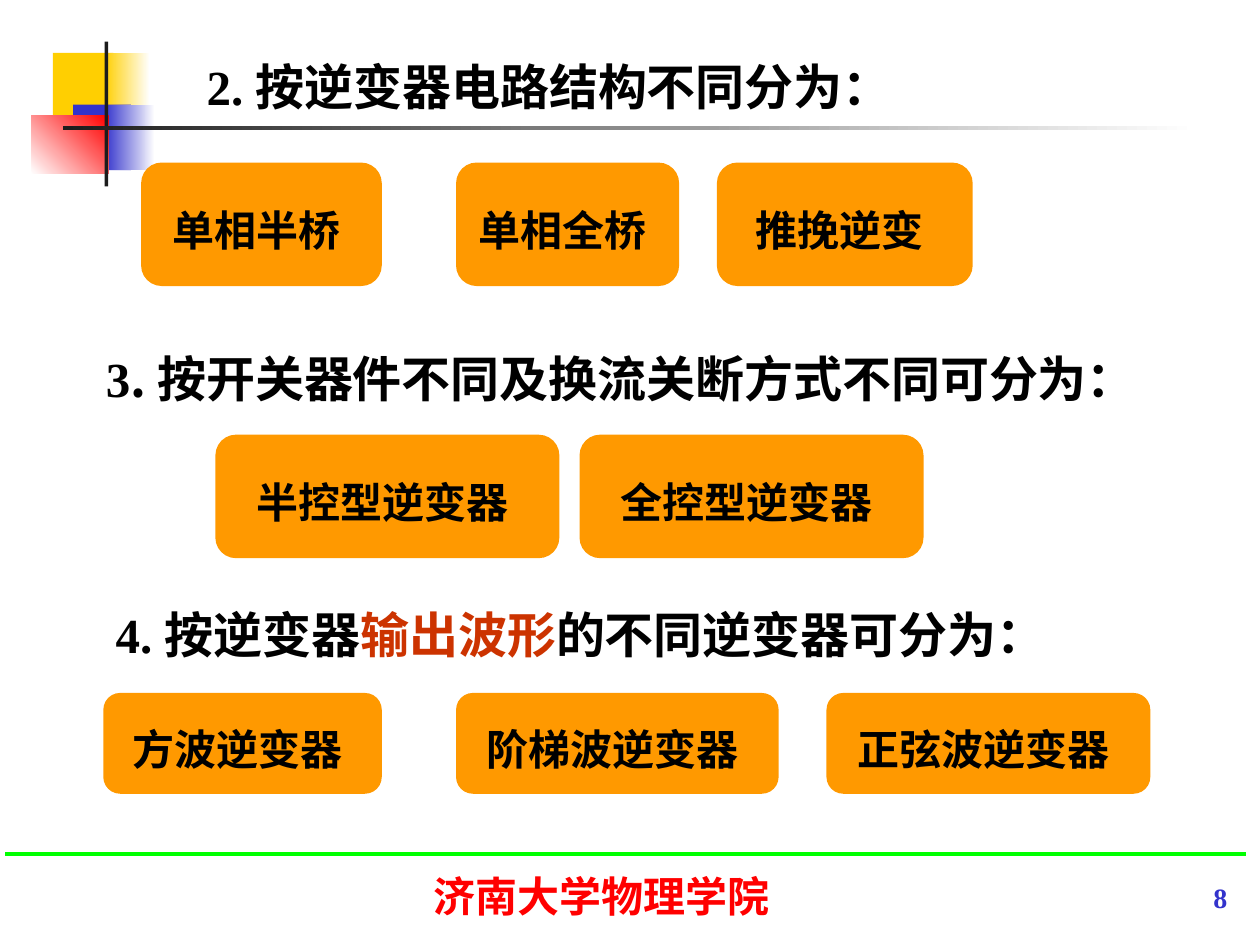
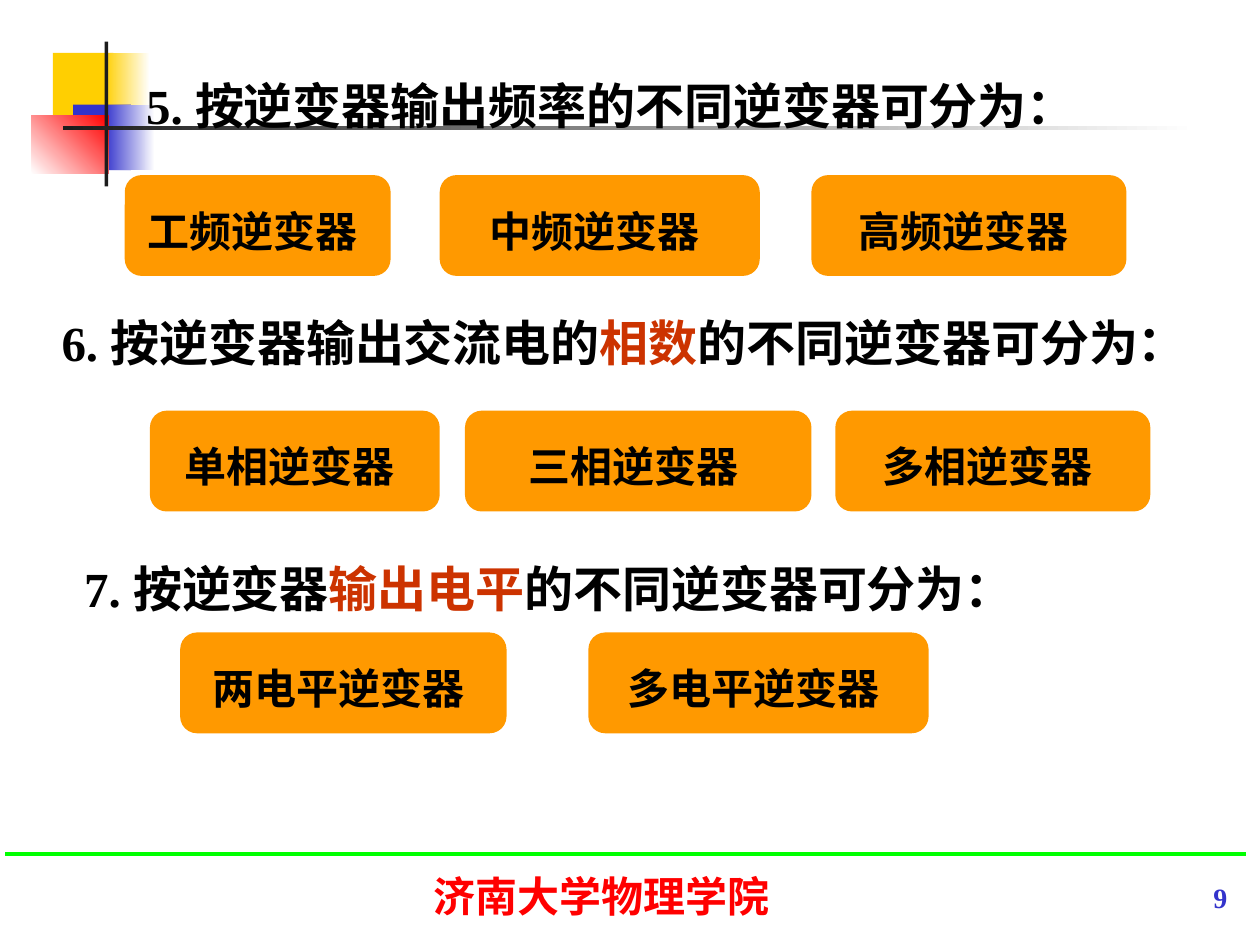
import pptx
import pptx.util
import pptx.dml.color
import pptx.enum.shapes
import pptx.enum.text
import pptx.oxml.ns
import lxml.etree

Inches, Pt = pptx.util.Inches, pptx.util.Pt
SHAPE = pptx.enum.shapes.MSO_SHAPE
ALIGN = pptx.enum.text.PP_ALIGN
ANCHOR = pptx.enum.text.MSO_ANCHOR
qn = pptx.oxml.ns.qn

# Content: each section has heading runs (text, colour, font), its place,
# its spacing style, and a row of classes (label, left, width)
SECTIONS_BY_PAGE = {
    8: [
        {"heading": [("2. 按逆变器电路结构不同分为：", "ink", "serif")],
         "at": (1.12, 0.4, 6.6, 0.57), "style": "indented",
         "row": (1.29, 0.98), "font": "cjk",
         "classes": [("单相半桥", 1.12, 1.91), ("单相全桥", 3.62, 1.77),
                     ("推挽逆变", 5.69, 2.03)]},
        {"heading": [("3", "ink", "serif"),
                     (". 按开关器件不同及换流关断方式不同可分为：", "ink", "cjk")],
         "at": (0.32, 2.62, 9.07, 0.66), "style": "indented_open",
         "row": (3.45, 0.98), "font": "sans",
         "classes": [("半控型逆变器", 1.71, 2.73), ("全控型逆变器", 4.6, 2.73)]},
        {"heading": [("4. 按逆变器", "ink", "serif"), ("输出波形", "accent", "serif"),
                     ("的不同逆变器可分为：", "ink", "serif")],
         "at": (0.82, 4.54, 8.05, 0.78), "style": "hanging",
         "row": (5.5, 0.8), "font": "sans",
         "classes": [("方波逆变器", 0.82, 2.21), ("阶梯波逆变器", 3.62, 2.56),
                     ("正弦波逆变器", 6.56, 2.57)]},
    ],
    9: [
        {"heading": [("5. 按逆变器输出频率的不同逆变器可分为：", "ink", "serif")],
         "at": (1.06, 0.34, 7.68, 0.78), "style": "hanging",
         "row": (1.39, 0.8), "font": "sans",
         "classes": [("工频逆变器", 0.99, 2.11), ("中频逆变器", 3.49, 2.54),
                     ("高频逆变器", 6.44, 2.5)]},
        {"heading": [("6. 按逆变器输出交流电的", "ink", "serif"), ("相数", "accent", "serif"),
                     ("的不同逆变器可分为：", "ink", "serif")],
         "at": (0.39, 2.22, 9.33, 0.78), "style": "hanging",
         "row": (3.26, 0.8), "font": "sans",
         "classes": [("单相逆变器", 1.19, 2.3), ("三相逆变器", 3.69, 2.75),
                     ("多相逆变器", 6.63, 2.5)]},
        {"heading": [("7. 按逆变器", "ink", "serif"), ("输出电平", "accent", "serif"),
                     ("的不同逆变器可分为：", "ink", "serif")],
         "at": (0.57, 4.17, 8.17, 0.78), "style": "hanging",
         "row": (5.02, 0.8), "font": "sans",
         "classes": [("两电平逆变器", 1.43, 2.59), ("多电平逆变器", 4.67, 2.7)]},
    ],
}
SCHOOL = "济南大学物理学院"

# Corner ornament: place, colours (two make a gradient), gradient angle
ORNAMENT = [
    ((0.42, 0.42, 0.48, 0.52), ["yellow"], 0),
    ((0.83, 0.42, 0.36, 0.52), ["yellow", "white"], 0),
    ((0.58, 0.83, 0.46, 0.52), ["blue"], 0),
    ((0.83, 0.83, 0.4, 0.52), ["blue", "white"], 0),
    ((0.25, 0.92, 0.61, 0.46), ["white", "red"], 45),
    ((0.83, 0.33, 0.03, 1.15), ["charcoal"], 0),
    ((0.5, 1, 9, 0.03), ["charcoal", "white"], 0),
]

THEME = {
    "colors": {"ink": "000000", "accent": "CC3300", "box": "FF9900", "yellow": "FFCF01",
               "blue": "3333CC", "red": "FF0000", "white": "FFFFFF",
               "charcoal": "1C1C1C", "green": "00FF00"},
    "fonts": {"serif": "Times New Roman", "sans": "Lato", "cjk": "Noto Sans CJK SC"},
    "sizes": {"heading": 28, "class": 24, "school": 24, "page": 16},
}

# Heading styles: left inset, line spacing, left margin, first-line indent
HEADING_STYLES = {
    "indented": (0.02, 1.0, 0.5, 0),
    "indented_open": (0.02, 1.2, 0.5, 0),
    "hanging": (0.1, 1.45, 0.38, -0.38),
}


def color(name):
    return pptx.dml.color.RGBColor.from_string(THEME["colors"][name])


def inches(place):
    return [Inches(length) for length in place]


def write(shape, runs, size, align=ALIGN.LEFT, spacing=1.0, left=0.1, bottom=0.05,
          wrap=True, anchor=ANCHOR.TOP):
    """Fill a shape with one bold paragraph and return that paragraph."""
    frame = shape.text_frame
    frame_format = {"margin_left": Inches(left), "margin_right": Inches(0.1),
                    "margin_top": Inches(0.05), "margin_bottom": Inches(bottom),
                    "word_wrap": wrap, "vertical_anchor": anchor,
                    "auto_size": pptx.enum.text.MSO_AUTO_SIZE.NONE}
    for name, value in frame_format.items():
        setattr(frame, name, value)
    line = frame.paragraphs[0]
    line.alignment, line.line_spacing = align, spacing
    for text, tint, face in runs:
        run = line.add_run()
        run.text = text
        font_format = {"name": THEME["fonts"][face], "bold": True,
                       "size": Pt(THEME["sizes"][size])}
        for name, value in font_format.items():
            setattr(run.font, name, value)
        run.font.color.rgb = color(tint)
    for props in shape.element.iter(qn("a:rPr")):
        lxml.etree.SubElement(props, qn("a:ea")).set("typeface", THEME["fonts"]["cjk"])
    return line


def add_block(slide, kind, place, tints, angle=0):
    block = slide.shapes.add_shape(kind, *inches(place))
    block.shadow.inherit = False
    block.line.fill.background()
    if len(tints) == 1:
        block.fill.solid()
        block.fill.fore_color.rgb = color(tints[0])
    else:
        block.fill.gradient()
        block.fill.gradient_angle = angle
        for stop, tint in zip(block.fill.gradient_stops, tints):
            stop.color.rgb = color(tint)
    return block


def move_frame_to_layout(slide):
    """Draw the ornament and footer once and hand them to the layout."""
    parts = [add_block(slide, SHAPE.RECTANGLE, *piece) for piece in ORNAMENT]

    school = slide.shapes.add_textbox(*inches((2.93, 6.86, 3.69, 0.58)))
    write(school, [(SCHOOL, "red", "sans")], "school", ALIGN.CENTER, bottom=0)

    rule = slide.shapes.add_connector(pptx.enum.shapes.MSO_CONNECTOR.STRAIGHT,
                                      *inches((0.04, 6.78, 9.89, 6.78)))
    rule.line.color.rgb = color("green")
    rule.line.width = Pt(2.25)
    lxml.etree.SubElement(rule.element.spPr, qn("a:effectLst"))

    for number, part in enumerate(parts + [school, rule], start=100):
        next(part.element.iter(qn("p:cNvPr"))).set("id", str(number))
        slide.slide_layout.shapes.element.append(part.element)


def add_section(slide, section, heading):
    heading.left, heading.top, heading.width, heading.height = inches(section["at"])
    left, spacing, margin, indent = HEADING_STYLES[section["style"]]
    line = write(heading, section["heading"], "heading", spacing=spacing, left=left)
    props = line._p.get_or_add_pPr()
    props.set("marL", str(Inches(margin)))
    props.set("indent", str(Inches(indent)))

    top, height = section["row"]
    for label, box_left, width in section["classes"]:
        box = add_block(slide, SHAPE.ROUNDED_RECTANGLE,
                        (box_left, top, width, height), ["box"])
        write(box, [(label, "ink", section["font"])], "class", ALIGN.CENTER, 1.2,
              left=0.02, wrap=False, anchor=ANCHOR.MIDDLE)


def main():
    deck = pptx.Presentation()
    deck.slide_width, deck.slide_height = Inches(10), Inches(7.5)
    title_only = deck.slide_layouts[5]
    for index, (page, sections) in enumerate(SECTIONS_BY_PAGE.items()):
        slide = deck.slides.add_slide(title_only)
        if index == 0:
            move_frame_to_layout(slide)

        # The first heading is the slide title
        for order, section in enumerate(sections):
            heading = (slide.shapes.title if order == 0
                       else slide.shapes.add_textbox(*inches(section["at"])))
            add_section(slide, section, heading)

        page_number = slide.shapes.add_textbox(*inches((6.67, 6.94, 3.17, 0.35)))
        write(page_number, [(str(page), "blue", "serif")], "page", ALIGN.RIGHT)
    deck.save("out.pptx")


if __name__ == "__main__":
    main()
